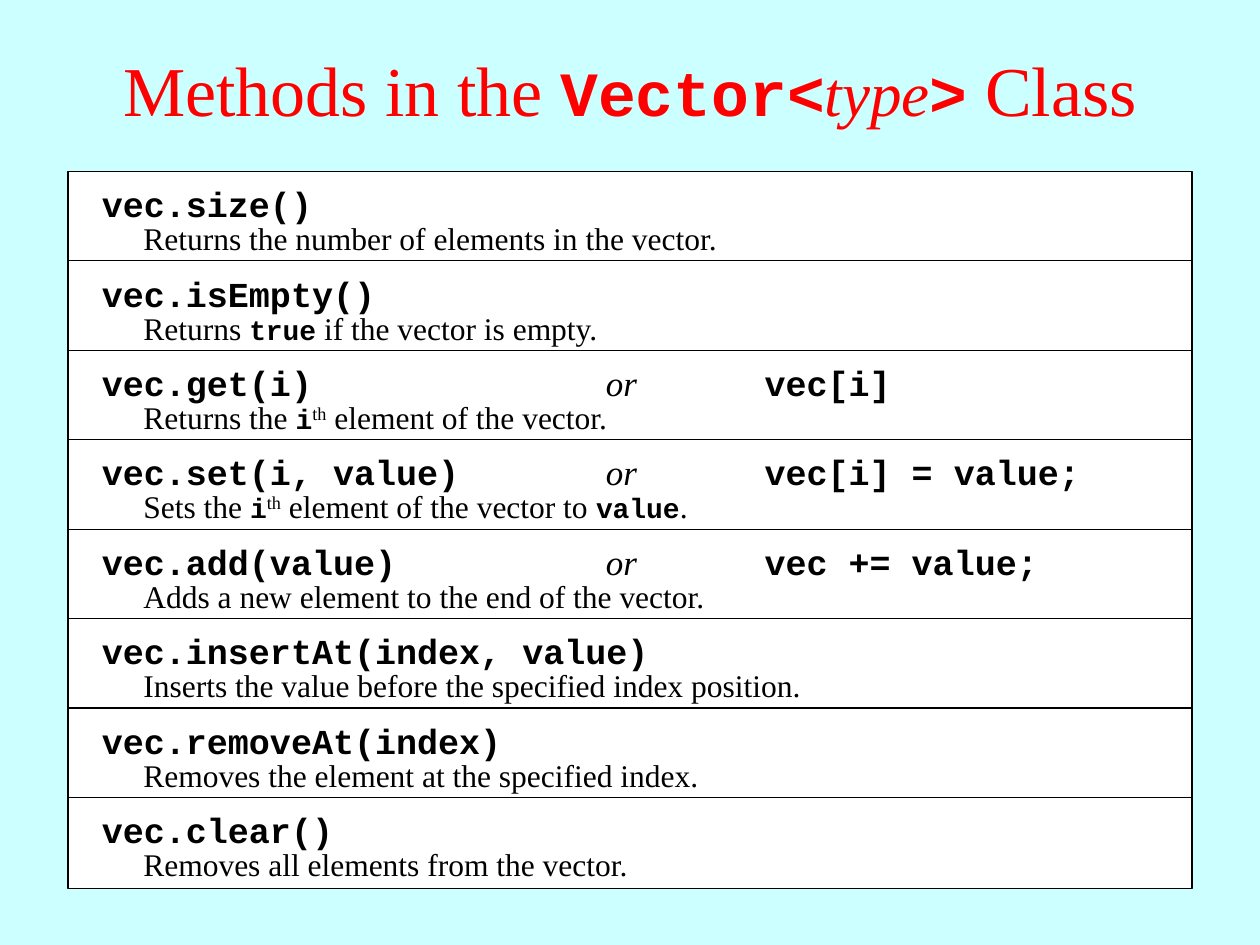
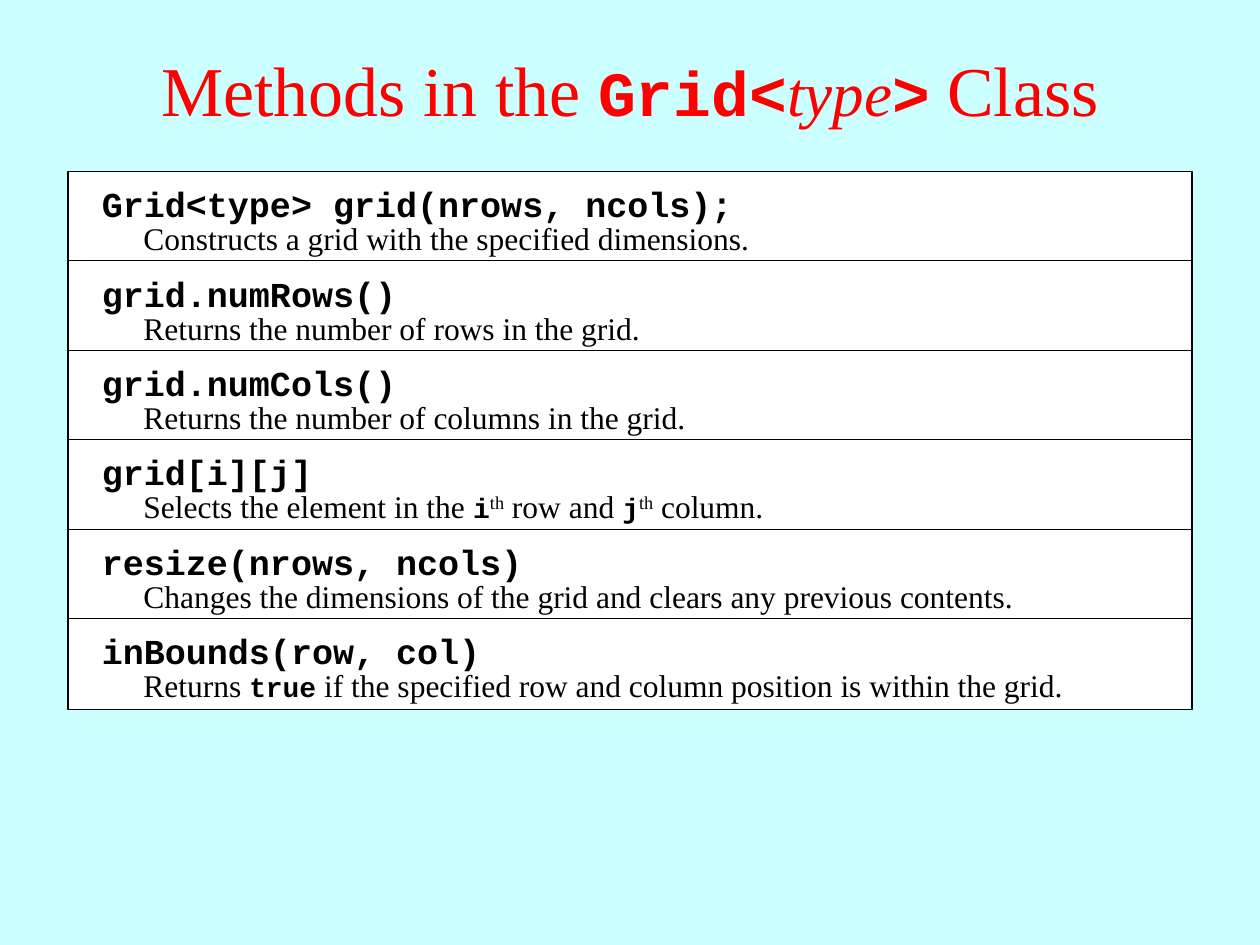
from pptx import Presentation
from pptx.dml.color import RGBColor
from pptx.enum.shapes import MSO_SHAPE
from pptx.enum.text import MSO_ANCHOR, MSO_AUTO_SIZE, PP_ALIGN
from pptx.oxml.ns import qn
from pptx.util import Inches, Pt
from lxml import etree

RECTANGLE = MSO_SHAPE.RECTANGLE
TOP, MIDDLE = MSO_ANCHOR.TOP, MSO_ANCHOR.MIDDLE
CENTER, LEFT = PP_ALIGN.CENTER, PP_ALIGN.LEFT
NO_AUTOFIT = MSO_AUTO_SIZE.NONE

COLORS = {"background": "CCFFFF", "title": "FF0000", "text": "000000", "row": "FFFFFF"}
SERIF, MONO = "Times New Roman", "Courier New"
STYLES = {
    "title": dict(font=SERIF, size=40, color="title"),
    "title code": dict(font=MONO, size=36, color="title", bold=True),
    "title type": dict(font=SERIF, size=36, color="title", italic=True),
    "method": dict(font=MONO, size=20, bold=True),
    "or": dict(font=SERIF, size=20, italic=True),
    "plain": dict(font=SERIF, size=18),
    "code": dict(font=MONO, size=16, bold=True),
    "super": dict(font=SERIF, size=18, superscript=True),
}

ROW_LEFT, ROW_TOP, ROW_WIDTH, ROW_HEIGHT, ROW_PITCH = 0.54, 1.36, 8.92, 0.72, 0.71
METHOD_LEFT, METHOD_OFFSET = 0.71, 0.04
DESCRIPTION_LEFT, DESCRIPTION_OFFSET = 1.04, 0.33
ALTERNATIVE_TABS = (4.0, 5.26)

VECTOR_METHODS = [
    ("vec.size()", None, ["Returns the number of elements in the vector."]),
    ("vec.isEmpty()", None, ["Returns ", ("true", "code"), " if the vector is empty."]),
    ("vec.get(i)", "vec[i]",
     ["Returns the ", ("i", "code"), ("th", "super"), " element of the vector."]),
    ("vec.set(i, value)", "vec[i] = value;",
     ["Sets the ", ("i", "code"), ("th", "super"), " element of the vector to ",
      ("value", "code"), "."]),
    ("vec.add(value)", "vec += value;", ["Adds a new element to the end of the vector."]),
    ("vec.insertAt(index, value)", None,
     ["Inserts the value before the specified index position."]),
    ("vec.removeAt(index)", None, ["Removes the element at the specified index."]),
    ("vec.clear()", None, ["Removes all elements from the vector."]),
]
GRID_METHODS = [
    ("Grid<type> grid(nrows, ncols);", None,
     ["Constructs a grid with the specified dimensions."]),
    ("grid.numRows()", None, ["Returns the number of rows in the grid."]),
    ("grid.numCols()", None, ["Returns the number of columns in the grid."]),
    ("grid[i][j]", None,
     ["Selects the element in the ", ("i", "code"), ("th", "super"), " row and ",
      ("j", "code"), ("th", "super"), " column."]),
    ("resize(nrows, ncols)", None,
     ["Changes the dimensions of the grid and clears any previous contents."]),
    ("inBounds(row, col)", None,
     ["Returns ", ("true", "code"),
      " if the specified row and column position is within the grid."]),
]


def color(name):
    return RGBColor.from_string(COLORS[name])


def add_styled_run(paragraph, text, style_name):
    style = STYLES[style_name]
    run = paragraph.add_run()
    run.text = text
    run.font.name = style["font"]
    run.font.size = Pt(style["size"])
    run.font.bold = style.get("bold", False)
    run.font.italic = style.get("italic", False)
    run.font.color.rgb = color(style.get("color", "text"))
    if style.get("superscript"):
        run._r.get_or_add_rPr().set("baseline", "30000")


def add_runs(paragraph, parts, default_style):
    for part in parts:
        text, style_name = (part, default_style) if isinstance(part, str) else part
        add_styled_run(paragraph, text, style_name)


def add_tab_stops(paragraph, positions):
    tab_list = etree.SubElement(paragraph._p.get_or_add_pPr(), qn("a:tabLst"))
    for position in positions:
        etree.SubElement(tab_list, qn("a:tab"), pos=str(Inches(position)), algn="l")


def add_text_line(shapes, left, top, width, height):
    box = shapes.add_textbox(Inches(left), Inches(top), Inches(width), Inches(height))
    box.text_frame.word_wrap = True
    box.text_frame.vertical_anchor = TOP
    paragraph = box.text_frame.paragraphs[0]
    paragraph.alignment = LEFT
    return paragraph


def add_method_row(slide, top, method, alternative, description):
    shapes = slide.shapes.add_group_shape().shapes
    row = shapes.add_shape(RECTANGLE, Inches(ROW_LEFT), Inches(top),
                           Inches(ROW_WIDTH), Inches(ROW_HEIGHT))
    row.shadow.inherit = False
    row.fill.solid()
    row.fill.fore_color.rgb = color("row")
    row.line.color.rgb = color("text")
    row.line.width = Pt(0.75)

    signature = add_text_line(shapes, METHOD_LEFT, top + METHOD_OFFSET, 8.58, 0.43)
    parts = [method]
    if alternative:
        add_tab_stops(signature, ALTERNATIVE_TABS)
        parts += [("\tor\t", "or"), alternative]
    add_runs(signature, parts, "method")

    explanation = add_text_line(shapes, DESCRIPTION_LEFT, top + DESCRIPTION_OFFSET, 8.33, 0.4)
    add_runs(explanation, description, "plain")


def add_title(slide, class_name):
    title = slide.shapes.title
    title.left, title.top = Inches(0), Inches(0.08)
    title.width, title.height = Inches(10), Inches(1.25)
    title.text_frame.auto_size = NO_AUTOFIT
    title.text_frame.vertical_anchor = MIDDLE
    paragraph = title.text_frame.paragraphs[0]
    paragraph.alignment = CENTER
    add_runs(paragraph, ["Methods in the ", (class_name + "<", "title code"),
                         ("type", "title type"), (">", "title code"), " Class"], "title")


def add_class_slide(presentation, class_name, methods):
    slide = presentation.slides.add_slide(presentation.slide_layouts[5])
    add_title(slide, class_name)
    for index, (method, alternative, description) in enumerate(methods):
        add_method_row(slide, ROW_TOP + index * ROW_PITCH, method, alternative, description)


def main():
    presentation = Presentation()
    presentation.slide_width, presentation.slide_height = Inches(10), Inches(7.5)
    background = presentation.slide_master.background.fill
    background.solid()
    background.fore_color.rgb = color("background")
    add_class_slide(presentation, "Vector", VECTOR_METHODS)
    add_class_slide(presentation, "Grid", GRID_METHODS)
    presentation.save("out.pptx")


if __name__ == "__main__":
    main()
